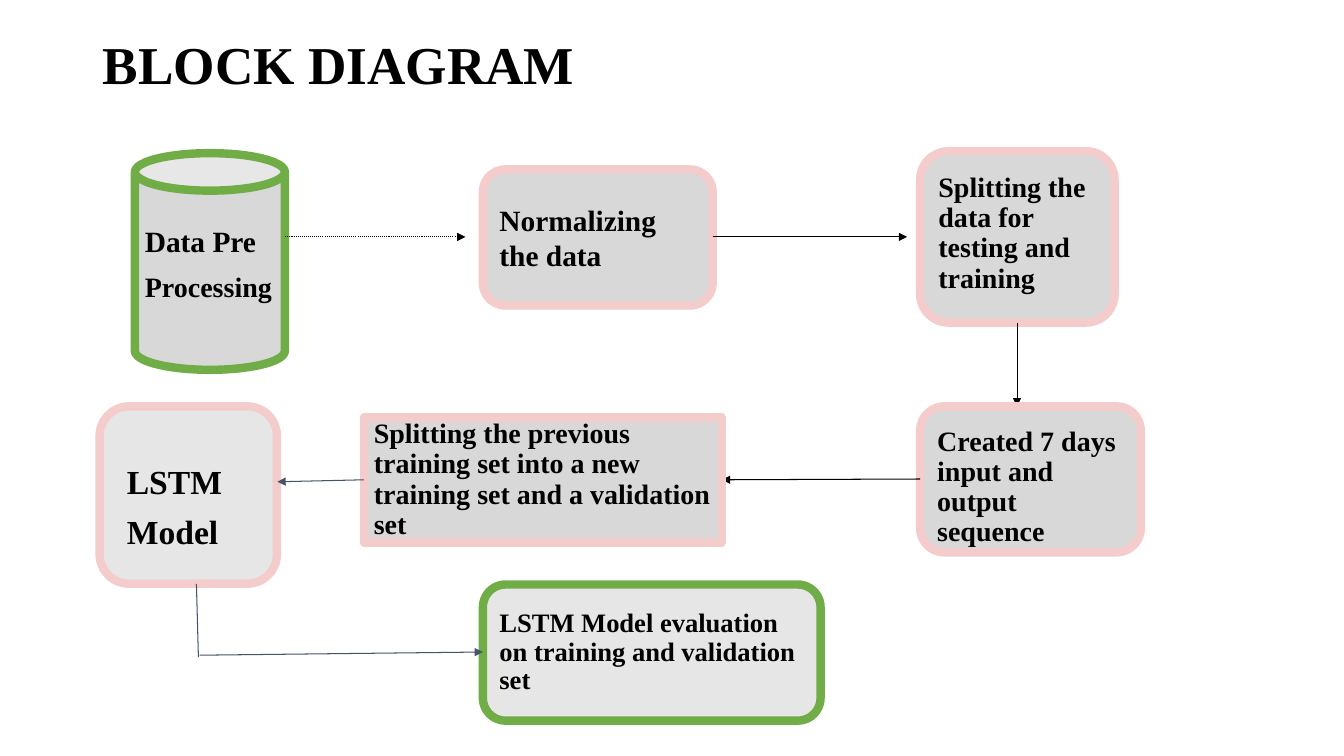
from pptx import Presentation
from pptx.util import Cm, Pt
from pptx.dml.color import RGBColor
from pptx.enum.dml import MSO_LINE as Dash
from pptx.enum.shapes import MSO_CONNECTOR as Link, MSO_SHAPE as Form
from pptx.enum.text import MSO_ANCHOR as Anchor, PP_ALIGN as Align
from pptx.oxml.ns import qn
from lxml.etree import SubElement as Sub

HUES = {"ink": "000000", "grey": "D8D8D8", "pale": "E7E6E6",
        "green": "70AD47", "pink": "F4CCCC", "slate": "44546A"}
hue = {name: RGBColor.from_string(code) for name, code in HUES.items()}


def write(frame, lines, pitch=0.9):
    frame.word_wrap = True
    frame.vertical_anchor = Anchor.MIDDLE
    for i, (text, size) in enumerate(lines):
        para = frame.paragraphs[0] if i == 0 else frame.add_paragraph()
        para.alignment = Align.LEFT
        para.line_spacing = pitch
        para.space_before = Pt(10 if i else 0)
        run = para.add_run()
        run.text = text
        run.font.name = "Times New Roman"
        run.font.size = Pt(size)
        run.font.bold = True
        run.font.color.rgb = hue["ink"]


def join(x1, y1, x2, y2, tone="ink", head=True, dash=None):
    line = slide.shapes.add_connector(Link.STRAIGHT, Cm(x1), Cm(y1), Cm(x2), Cm(y2))
    line.line.color.rgb = hue[tone]
    line.line.width = Pt(0.75)
    if dash:
        line.line.dash_style = dash
    if head:
        Sub(line.line._get_or_add_ln(), qn("a:tailEnd"), type="triangle")
    Sub(line._element.spPr, qn("a:effectLst"))


deck = Presentation()
deck.slide_width, deck.slide_height = Cm(33.87), Cm(19.05)
slide = deck.slides.add_slide(deck.slide_layouts[6])

title = slide.shapes.add_textbox(Cm(2.34), Cm(0), Cm(29.21), Cm(3.38))
write(title.text_frame, [("BLOCK DIAGRAM", 38)])

ROUND = Form.ROUNDED_RECTANGLE
steps = [
    (Form.CAN, (3.4, 3.86, 3.78, 5.46), "grey", "green",
     [("Data Pre", 21), ("Processing", 20)], 0.9, (0.25, 0.13, 0.41),
     (7.19, 5.97, 11.73, 5.97, "ink", True, Dash.ROUND_DOT)),
    (ROUND, (12.17, 4.27, 5.79, 3.43), "grey", "pink",
     [("Normalizing the data", 21)], 1, (0.25, 0.13, 0.13),
     (17.96, 5.97, 22.86, 5.97)),
    (ROUND, (23.19, 3.81, 4.9, 4.32), "grey", "pink",
     [("Splitting the data for testing and training", 20)], 0.9, (0.25, 0.13, 0.29),
     (25.63, 8.13, 25.63, 10.24)),
    (ROUND, (23.19, 10.24, 5.56, 3.68), "grey", "pink",
     [("Created 7 days input and output sequence", 20)], 0.9, (0.25, 0.41, 0),
     (23.19, 12.07, 18.19, 12.09)),
    (Form.RECTANGLE, (9.17, 10.52, 9.02, 3.15), "grey", "pink",
     [("Splitting the previous training set into a new training set and a validation set", 20)],
     0.9, (0.25, 0.13, 0.13), None),
    (ROUND, (2.51, 10.24, 4.47, 4.47), "pale", "pink",
     [("LSTM", 24), ("Model", 24)], 0.9, (0.47, 0.94, 0.25),
     (9.17, 12.09, 6.99, 12.14, "slate")),
    (ROUND, (12.17, 14.73, 8.51, 3.43), "pale", "green",
     [("LSTM Model evaluation on training and validation set", 19)], 0.9, (0.25, 0.25, 0.25),
     (5.03, 16.51, 12.17, 16.43, "slate")),
]
for form, place, fill, edge, lines, pitch, (left, top, base), link in steps:
    box = slide.shapes.add_shape(form, *map(Cm, place))
    box.shadow.inherit = False
    box.fill.solid()
    box.fill.fore_color.rgb = hue[fill]
    box.line.color.rgb = hue[edge]
    box.line.width = Pt(6)
    frame = box.text_frame
    frame.margin_left, frame.margin_top, frame.margin_bottom = Cm(left), Cm(top), Cm(base)
    write(frame, lines, pitch)
    if link:
        join(*link)

join(4.95, 14.71, 5, 16.56, "slate", head=False)

deck.save("out.pptx")
